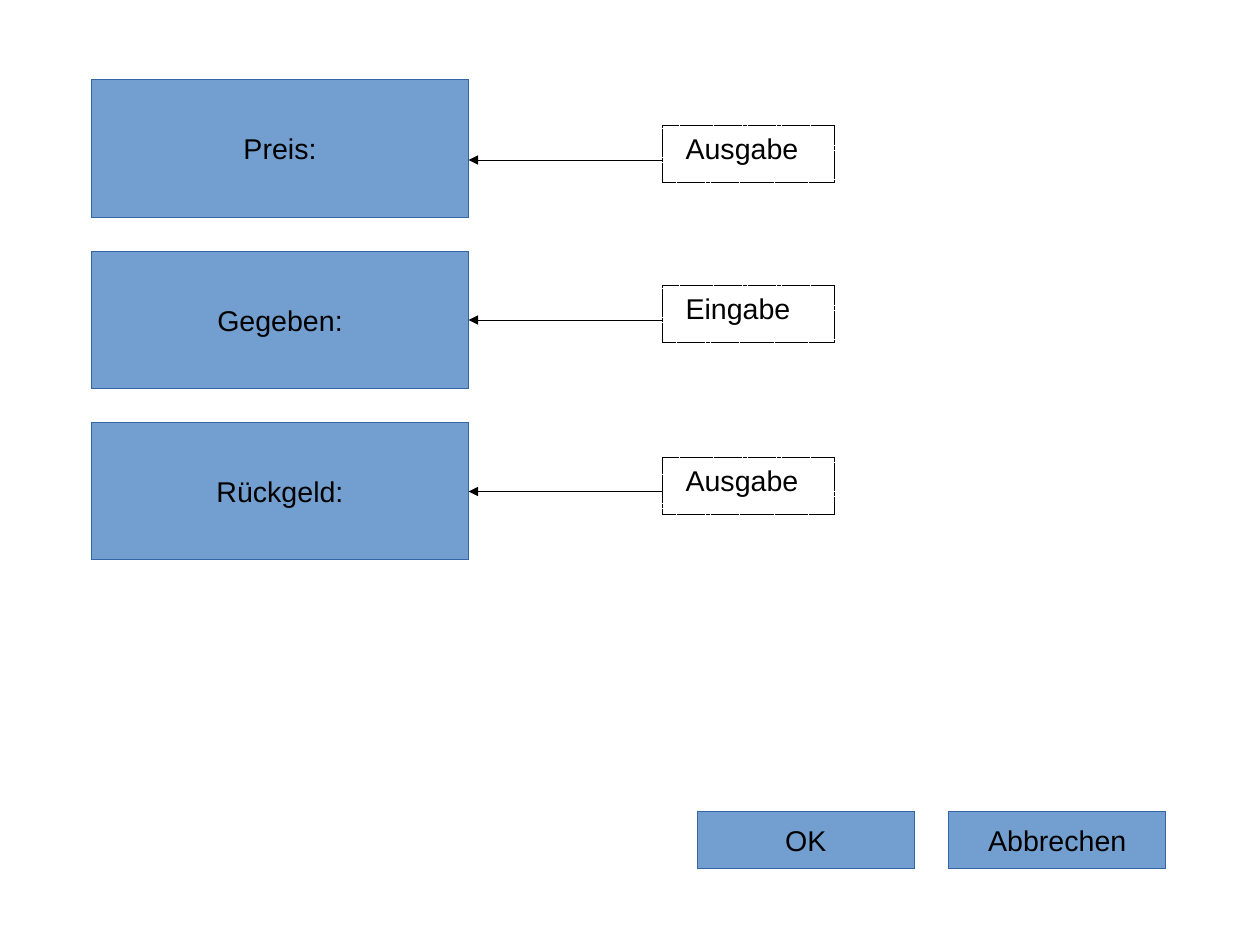
from dataclasses import dataclass

from lxml import etree
from pptx import Presentation
from pptx import util as u
from pptx.dml.color import RGBColor
from pptx.enum import dml, shapes, text
from pptx.oxml.ns import qn

BLUE = RGBColor(0x72, 0x9F, 0xCF)
EDGE = RGBColor(0x34, 0x65, 0xA4)
BLACK = RGBColor(0, 0, 0)

CELL = 0.1  # grid step in inches
THIN = u.Emu(1)  # a plain 0 would fall back to the theme's width
FONT = {"name": "Arial", "size": u.Pt(18)}
MID = {"word_wrap": False, "vertical_anchor": text.MSO_ANCHOR.MIDDLE}
NOTE = {"word_wrap": True, "auto_size": text.MSO_AUTO_SIZE.SHAPE_TO_FIT_TEXT}


@dataclass
class Box:
    """A place on the grid, in columns and rows."""
    col: float
    row: float
    wide: float
    high: float

    def place(self) -> list:
        return [grid(n) for n in (self.col, self.row, self.wide, self.high)]


@dataclass
class Field:
    """A form field with the note that points at it."""
    label: str
    row: int
    note: str
    top: int


FIELDS = [
    Field("Preis:", 7, "Ausgabe", 11),
    Field("Gegeben:", 22, "Eingabe", 25),
    Field("Rückgeld:", 37, "Ausgabe", 40),
]
BUTTONS = {"OK": 61, "Abbrechen": 83}


def grid(n: float) -> int:
    return u.Inches(n * CELL)


def style(item, form: dict) -> None:
    for key, val in form.items():
        setattr(item, key, val)


def write(shape, words: str, form: dict, align) -> None:
    frame = shape.text_frame
    style(frame, form)
    para = frame.paragraphs[0]
    para.text = words
    para.alignment = align
    font = para.runs[0].font
    style(font, FONT)
    font.color.rgb = BLACK


def hairline(line, color: RGBColor) -> None:
    line.color.rgb = color
    line.width = THIN


def rect(slide, box: Box, edge: RGBColor):
    shape = slide.shapes.add_shape(shapes.MSO_SHAPE.RECTANGLE, *box.place())
    shape.shadow.inherit = False
    hairline(shape.line, edge)
    return shape


def panel(slide, box: Box, words: str) -> None:
    shape = rect(slide, box, EDGE)
    shape.fill.solid()
    shape.fill.fore_color.rgb = BLUE
    write(shape, words, MID, text.PP_ALIGN.CENTER)


def remark(slide, words: str, top: float) -> None:
    label = slide.shapes.add_textbox(*Box(59, top, 28, 3.8).place())
    write(label, words, NOTE, text.PP_ALIGN.LEFT)
    frame = rect(slide, Box(58, top, 15, 5), BLACK)
    frame.fill.background()
    frame.line.dash_style = dml.MSO_LINE.SQUARE_DOT


def arrow(slide, row: float) -> None:
    link = slide.shapes.add_connector(
        shapes.MSO_CONNECTOR.STRAIGHT, grid(58), grid(row), grid(41), grid(row))
    hairline(link.line, BLACK)
    props = link._element.spPr
    etree.SubElement(props.find(qn("a:ln")), qn("a:tailEnd"), type="triangle")
    etree.SubElement(props, qn("a:effectLst"))


def main() -> None:
    deck = Presentation()
    deck.slide_width, deck.slide_height = u.Cm(28), u.Cm(21)
    slide = deck.slides.add_slide(deck.slide_layouts[6])

    # Form fields with their notes
    for field in FIELDS:
        panel(slide, Box(8, field.row, 33, 12), field.label)
        remark(slide, field.note, field.top)
        arrow(slide, field.top + 3)

    # Buttons
    for words, col in BUTTONS.items():
        panel(slide, Box(col, 71, 19, 5), words)

    deck.save("out.pptx")


if __name__ == "__main__":
    main()
